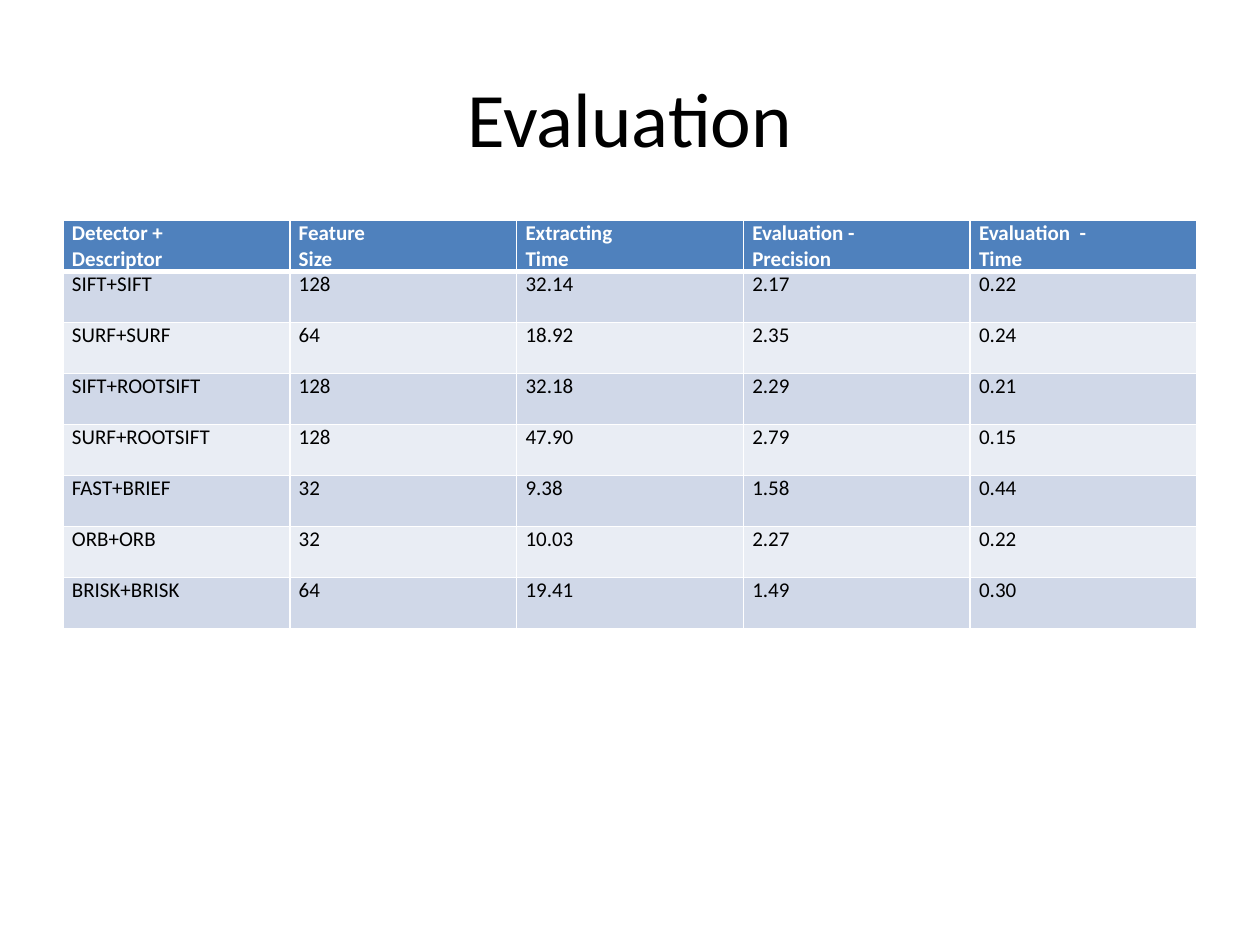
from lxml import etree
from pptx import Presentation
from pptx.dml.color import RGBColor
from pptx.enum import text
from pptx.oxml import ns
from pptx.util import Cm, Pt

COLORS = {
    "text": "000000",
    "header_text": "FFFFFF",
    "header": "4F81BD",
    "odd_row": "D0D8E8",
    "even_row": "E9EDF4",
    "border": "FFFFFF",
}
FONT = "Calibri"

HEADERS = ["Detector +\nDescriptor", "Feature\nSize", "Extracting \nTime",
           "Evaluation -\nPrecision", "Evaluation  -\nTime "]
RESULTS = [
    ["SIFT+SIFT", "128", "32.14", "2.17", "0.22 "],
    ["SURF+SURF", "64", "18.92", "2.35", "0.24 "],
    ["SIFT+ROOTSIFT", "128", "32.18", "2.29", "0.21 "],
    ["SURF+ROOTSIFT", "128", "47.90", "2.79", "0.15 "],
    ["FAST+BRIEF", "32", "9.38", "1.58", "0.44 "],
    ["ORB+ORB", "32", "10.03", "2.27", "0.22 "],
    ["BRISK+BRISK", "64", "19.41", "1.49", "0.30 "],
]


def rgb(name):
    return RGBColor.from_string(COLORS[name])


def set_font(paragraph, size, color, bold=False):
    font = paragraph.font
    font.name, font.size, font.bold = FONT, Pt(size), bold
    font.color.rgb = rgb(color)


def add_title(slide, title):
    shape = slide.shapes.add_textbox(Cm(1.27), Cm(0.76), Cm(22.86), Cm(3.18))
    frame = shape.text_frame
    frame.word_wrap = True
    frame.vertical_anchor = text.MSO_ANCHOR.MIDDLE
    paragraph = frame.paragraphs[0]
    paragraph.text = title
    paragraph.alignment = text.PP_ALIGN.CENTER
    set_font(paragraph, 44, "text")


def set_borders(cell, top, bottom):
    properties = cell._tc.get_or_add_tcPr()
    for side, width in (("L", 1), ("R", 1), ("T", top), ("B", bottom)):
        line = etree.SubElement(properties, ns.qn(f"a:ln{side}"), w=str(Pt(width)))
        fill = etree.SubElement(line, ns.qn("a:solidFill"))
        etree.SubElement(fill, ns.qn("a:srgbClr"), val=COLORS["border"])


def fill_cell(cell, value, row):
    is_header = row == 0
    # A thick rule separates the header from the results
    set_borders(cell, top=3 if row == 1 else 1, bottom=3 if is_header else 1)
    cell.fill.solid()
    cell.fill.fore_color.rgb = rgb(
        "header" if is_header else "odd_row" if row % 2 else "even_row")
    cell.margin_left = cell.margin_right = Cm(0.18)
    cell.margin_top = cell.margin_bottom = 0
    cell.text = value
    for paragraph in cell.text_frame.paragraphs:
        set_font(paragraph, 12, "header_text" if is_header else "text", is_header)


def add_results_table(slide, rows):
    frame = slide.shapes.add_table(len(rows), len(rows[0]), Cm(1.27), Cm(4.45),
                                   Cm(22.86), Cm(8.23))
    for row, values in enumerate(rows):
        for column, value in enumerate(values):
            fill_cell(frame.table.cell(row, column), value, row)


def main():
    presentation = Presentation()
    presentation.slide_width, presentation.slide_height = Cm(25.4), Cm(19.05)
    slide = presentation.slides.add_slide(presentation.slide_layouts[6])

    # Title
    add_title(slide, "Evaluation")

    # Results by detector and descriptor
    add_results_table(slide, [HEADERS] + RESULTS)

    presentation.save("out.pptx")


main()
